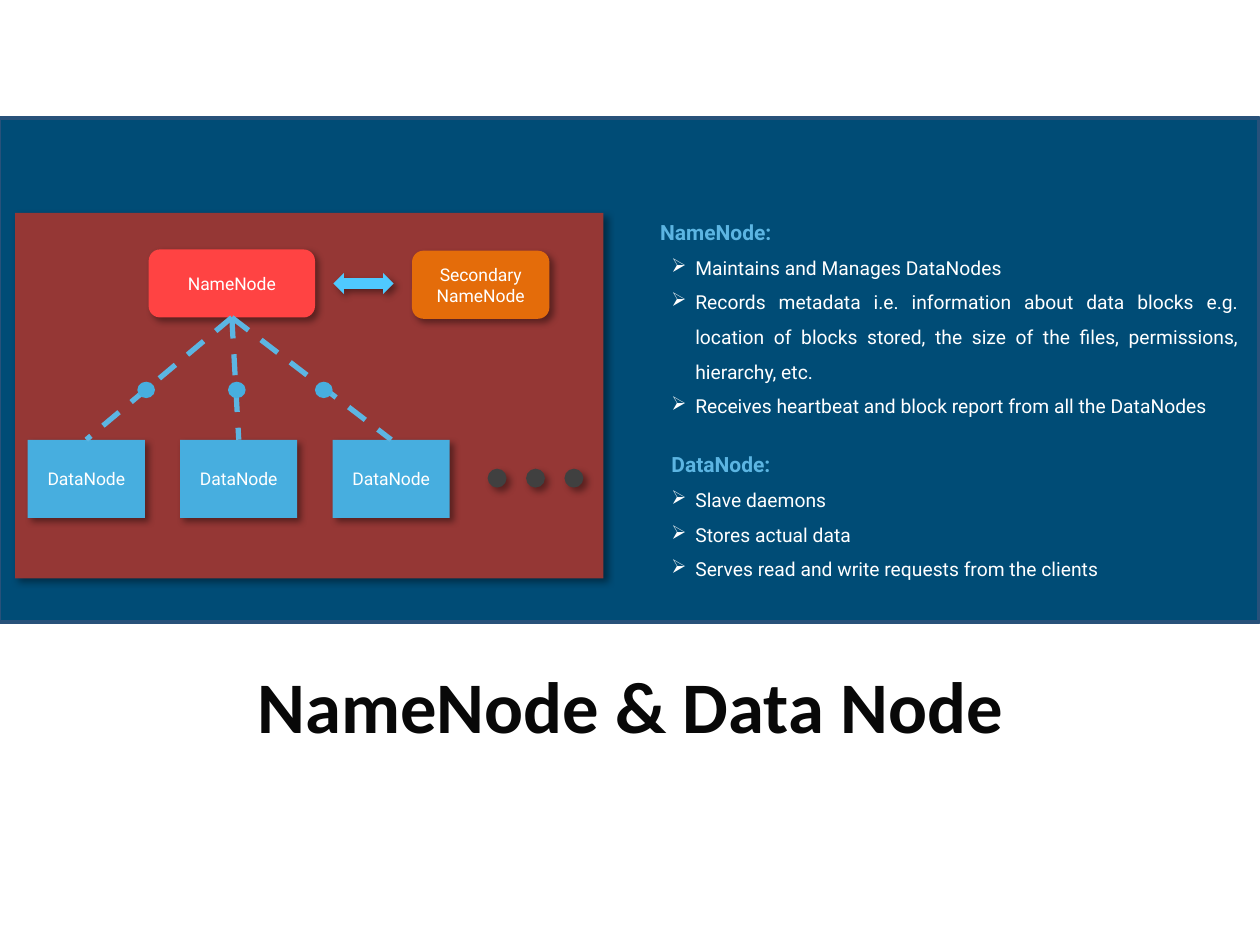
import pptx
import pptx.util
import pptx.dml.color
import pptx.enum.dml
import pptx.enum.shapes
import pptx.enum.text
from lxml import etree

RGBColor = pptx.dml.color.RGBColor
Pt = pptx.util.Pt
SHAPE = pptx.enum.shapes.MSO_SHAPE
ALIGN = pptx.enum.text.PP_ALIGN
ANCHOR = pptx.enum.text.MSO_ANCHOR

NAVY = RGBColor(0x00, 0x4C, 0x76)
NAVY_EDGE = RGBColor(0x28, 0x51, 0x7A)
MAROON = RGBColor(0x95, 0x37, 0x35)
RED = RGBColor(0xFF, 0x43, 0x43)
ORANGE = RGBColor(0xE4, 0x6C, 0x0A)
BLUE = RGBColor(0x47, 0xAE, 0xDF)
BRIGHT_BLUE = RGBColor(0x4F, 0xC9, 0xFF)
LIGHT_BLUE = RGBColor(0x5C, 0xB5, 0xE2)
GREY = RGBColor(0x40, 0x40, 0x40)
BLACK = RGBColor(0x08, 0x08, 0x08)
WHITE = RGBColor(0xFF, 0xFF, 0xFF)

COLUMNS, ROWS = 100, 75
BOTTOM, TOP = 2, 0
ROLES = {
    "NameNode:": [
        "Maintains and Manages DataNodes",
        "Records metadata i.e. information about data blocks e.g. location of blocks stored, "
        "the size of the files, permissions, hierarchy, etc.",
        "Receives heartbeat and block report from all the DataNodes",
    ],
    "DataNode:": [
        "Slave daemons",
        "Stores actual data",
        "Serves read and write requests from the clients",
    ],
}


class ClusterSlide:
    """Draws styled elements on one slide, placed in grid columns and rows."""

    def __init__(self, presentation):
        self.slide = presentation.slides.add_slide(presentation.slide_layouts[6])
        self.column = presentation.slide_width / COLUMNS
        self.row = presentation.slide_height / ROWS

    def place(self, left, top, width, height):
        return (round(left * self.column), round(top * self.row),
                round(width * self.column), round(height * self.row))

    def style(self, paragraph, size, color, bold=False, font="Roboto"):
        for run in paragraph.runs:
            run.font.name, run.font.size = font, Pt(size)
            run.font.bold, run.font.color.rgb = bold, color

    def shape(self, kind, box, fill, text="", shadow=True, edge=None):
        shape = self.slide.shapes.add_shape(kind, *self.place(*box))
        shape.shadow.inherit = False
        shape.fill.solid()
        shape.fill.fore_color.rgb = fill
        if edge:
            shape.line.color.rgb, shape.line.width = edge, Pt(2.25)
        else:
            shape.line.fill.background()
        if shadow:
            self.cast_shadow(shape)
        if text:
            frame = shape.text_frame
            frame.text, frame.word_wrap = text, True
            frame.vertical_anchor = ANCHOR.MIDDLE
            frame.paragraphs[0].alignment = ALIGN.CENTER
            self.style(frame.paragraphs[0], 10, WHITE)
        return shape

    def cast_shadow(self, shape):
        qn = pptx.oxml.ns.qn
        effects = shape._element.spPr.find(qn("a:effectLst"))
        shadow = etree.SubElement(effects, qn("a:outerShdw"), blurRad=str(Pt(4)), dist=str(Pt(3)),
                                  dir="2700000", algn="tl", rotWithShape="0")
        color = etree.SubElement(shadow, qn("a:srgbClr"), val="000000")
        etree.SubElement(color, qn("a:alpha"), val="40000")

    def link(self, parent, child):
        connector = self.slide.shapes.add_connector(
            pptx.enum.shapes.MSO_CONNECTOR.STRAIGHT, 0, 0, 0, 0)
        connector.begin_connect(parent, BOTTOM)
        connector.end_connect(child, TOP)
        connector.line.color.rgb, connector.line.width = LIGHT_BLUE, Pt(3)
        connector.line.dash_style = pptx.enum.dml.MSO_LINE.DASH
        etree.SubElement(connector._element.spPr, pptx.oxml.ns.qn("a:effectLst"))

    def title(self, box, text):
        frame = self.slide.shapes.add_textbox(*self.place(*box)).text_frame
        frame.text, frame.word_wrap = text, False
        frame.paragraphs[0].alignment = ALIGN.CENTER
        self.style(frame.paragraphs[0], 41.5, BLACK, True, "Calibri")

    def indent(self, paragraph, margin, first=0.0):
        properties = paragraph._p.get_or_add_pPr()
        properties.set("marL", str(pptx.util.Inches(margin)))
        properties.set("indent", str(pptx.util.Inches(first)))
        return properties

    def roles(self, box, roles):
        frame = self.slide.shapes.add_textbox(*self.place(*box)).text_frame
        frame.word_wrap = True
        for number, (heading, duties) in enumerate(roles.items()):
            paragraph = frame.add_paragraph() if number else frame.paragraphs[0]
            paragraph.text = heading
            if number:
                paragraph.space_before = Pt(19.3)
                self.indent(paragraph, 0.09)
            self.style(paragraph, 12, LIGHT_BLUE, True)
            for duty in duties:
                self.bullet(frame.add_paragraph(), duty)

    def bullet(self, paragraph, text):
        paragraph.text, paragraph.level = text, 1
        paragraph.alignment, paragraph.line_spacing = ALIGN.JUSTIFY, 1.5
        properties = self.indent(paragraph, 0.28, -0.19)
        etree.SubElement(properties, pptx.oxml.ns.qn("a:buChar"), char="➢")
        self.style(paragraph, 11, WHITE)


def main():
    presentation = pptx.Presentation()
    presentation.slide_width = pptx.util.Inches(10)
    presentation.slide_height = pptx.util.Inches(7.5)
    cluster = ClusterSlide(presentation)

    cluster.shape(SHAPE.RECTANGLE, (-0.1, 9.4, 100, 40), NAVY, shadow=False, edge=NAVY_EDGE)
    cluster.title((19.1, 52, 61.9, 8), "NameNode & Data Node")
    cluster.roles((51.4, 16.9, 47.9, 27), ROLES)

    cluster.shape(SHAPE.RECTANGLE, (1.2, 16.9, 46.7, 29), MAROON)
    name_node = cluster.shape(SHAPE.ROUNDED_RECTANGLE, (11.8, 19.8, 13.2, 5.4), RED, "NameNode")
    cluster.shape(SHAPE.ROUNDED_RECTANGLE, (32.7, 19.9, 10.9, 5.4), ORANGE, "Secondary NameNode")
    arrow = cluster.shape(SHAPE.UP_DOWN_ARROW, (28, 20.1, 1.7, 4.8), BRIGHT_BLUE)
    arrow.rotation = 270

    for index, bead_left in enumerate((10.9, 18.1, 25)):
        data_node = cluster.shape(
            SHAPE.RECTANGLE, (2.2 + 12.1 * index, 34.9, 9.3, 6.2), BLUE, "DataNode")
        cluster.link(name_node, data_node)
        cluster.shape(SHAPE.OVAL, (bead_left, 30.3, 1.4, 1.3), BLUE, shadow=False)
        cluster.shape(SHAPE.OVAL, (38.7 + 3.05 * index, 37.2, 1.5, 1.5), GREY)

    presentation.save("out.pptx")


if __name__ == "__main__":
    main()
